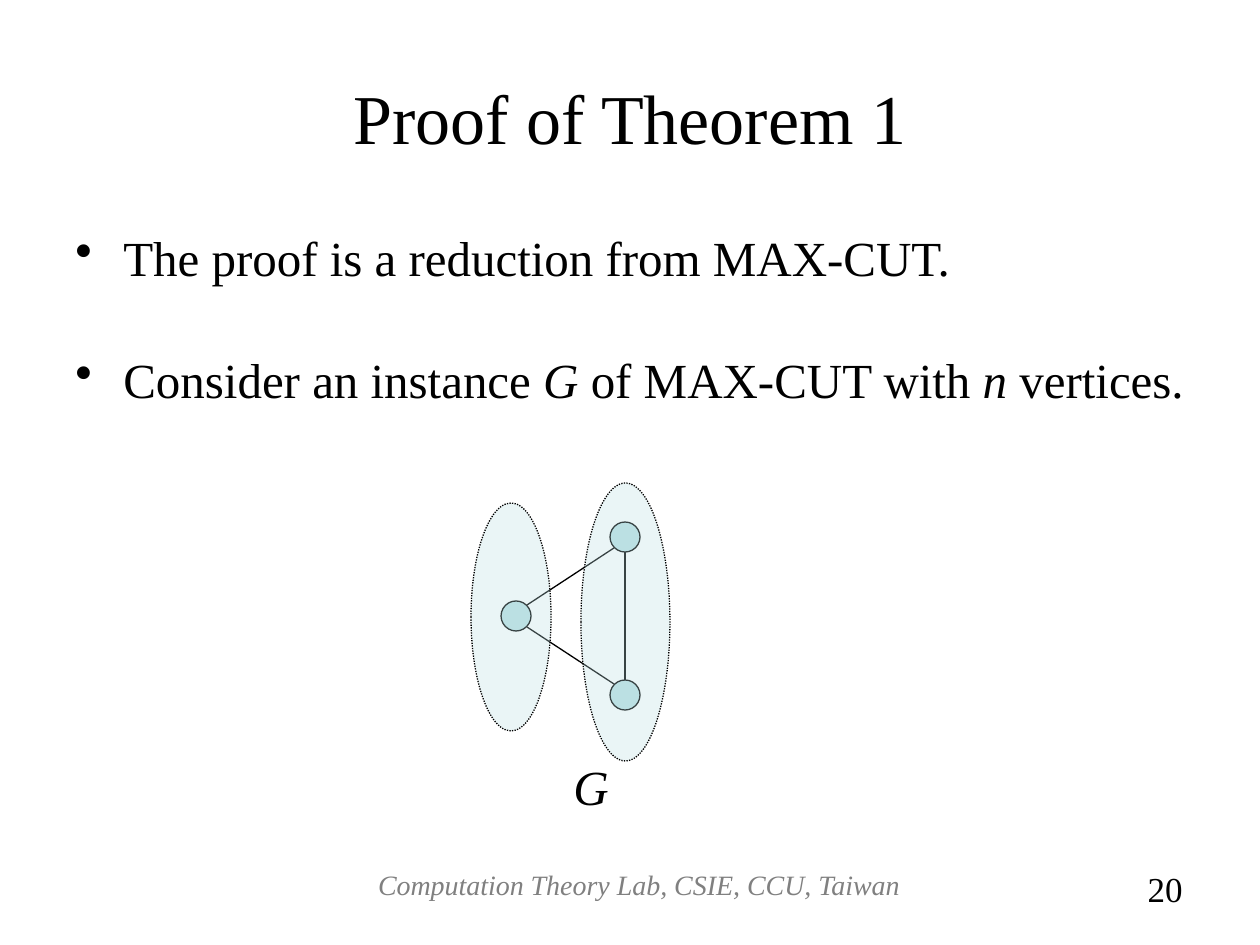
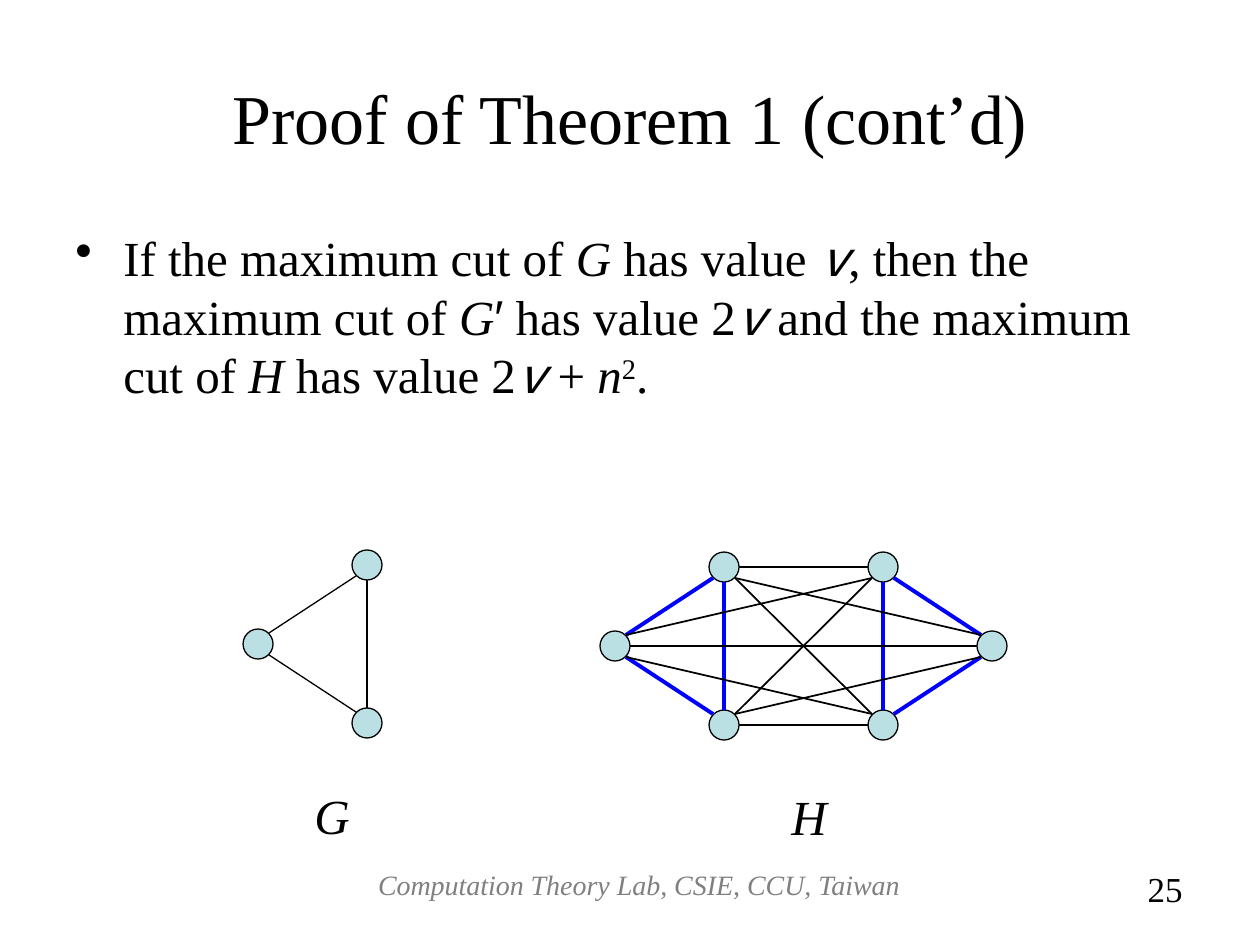
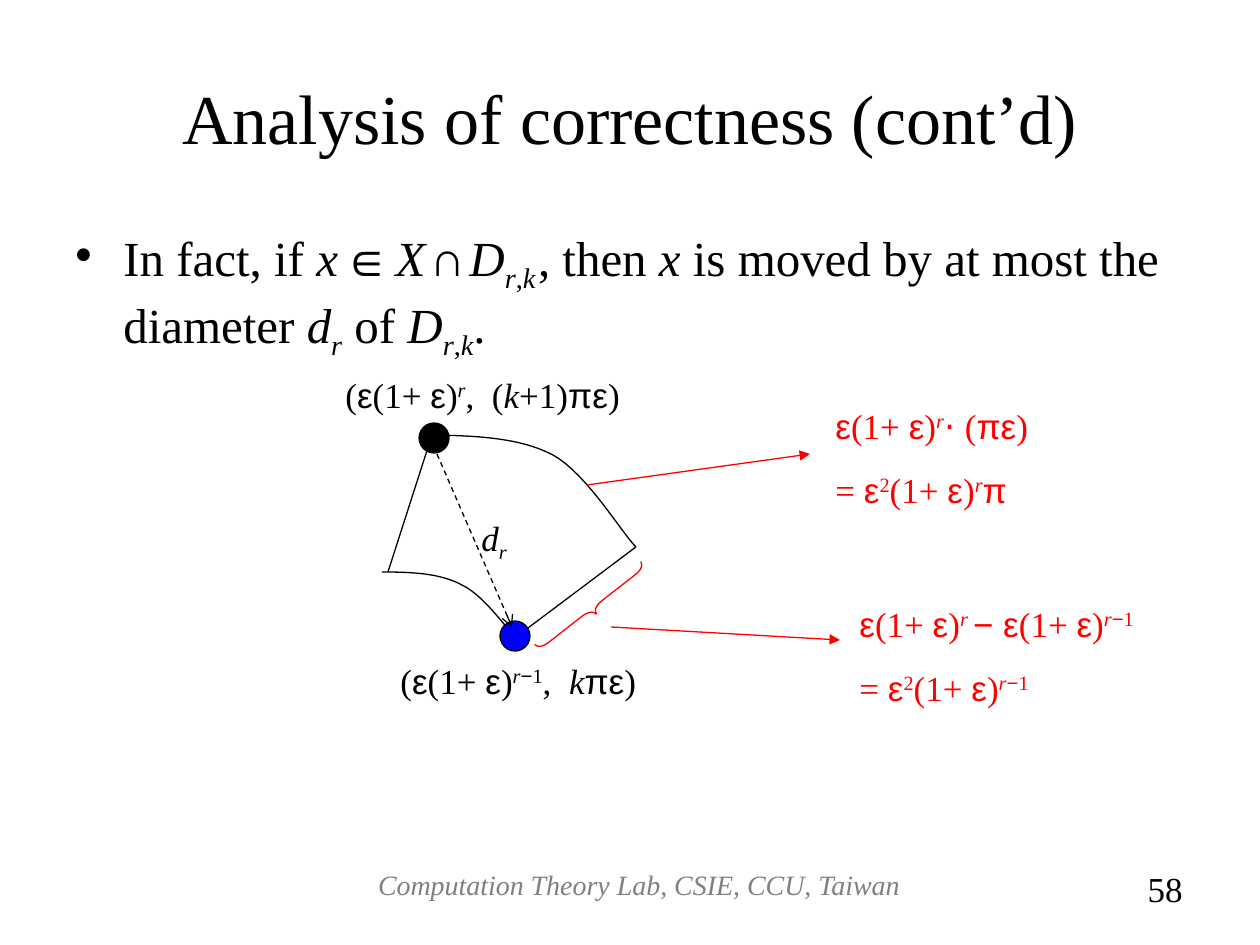
from dataclasses import dataclass
from functools import partial
from itertools import combinations, product
from typing import NamedTuple, Optional

from lxml.etree import SubElement
from pptx import Presentation
from pptx.dml.color import RGBColor
from pptx.enum.dml import MSO_LINE
from pptx.enum.shapes import MSO_CONNECTOR, MSO_SHAPE
from pptx.enum.text import MSO_ANCHOR, PP_ALIGN
from pptx.oxml.ns import qn
from pptx.util import Emu, Pt

PX_PER_INCH = 126
NODE_RADIUS = 15
NODE_DIAGONAL = 11  # offset of the node outline at 45 degrees


@dataclass(frozen=True)
class Theme:
    black: str = "000000"
    red: str = "FF0000"
    blue: str = "0000FF"
    grey: str = "808080"
    node: str = "BBE0E3"
    serif: str = "Times New Roman"
    symbol: str = "Arial"
    mono: str = "Noto Sans Mono"
    title: int = 40
    body: int = 28
    formula: int = 20
    footer: int = 16
    thin_space: int = 10
    thin: float = 0.75
    medium: float = 1
    thick: float = 2.25
    paragraph_gap: float = 36.4
    formula_gap: float = 12.6


THEME = Theme()


class Point(NamedTuple):
    x: int
    y: int


class Box(NamedTuple):
    left: int
    top: int
    width: int
    height: int


class Run(NamedTuple):
    text: str
    font: str = THEME.serif
    italic: bool = False
    baseline: int = 0
    size: Optional[int] = None


class Style(NamedTuple):
    size: int
    color: str = THEME.black
    align: PP_ALIGN = PP_ALIGN.LEFT
    anchor: MSO_ANCHOR = MSO_ANCHOR.TOP
    gap: float = 0
    bullet: bool = False


class Stroke(NamedTuple):
    color: str = THEME.black
    width: float = THEME.thin
    dash: Optional[MSO_LINE] = None
    arrow: Optional[str] = None


class Label(NamedTuple):
    box: Box
    paragraphs: list[list[Run]]
    color: str = THEME.black


italic = partial(Run, italic=True)
symbol = partial(Run, font=THEME.symbol)
power = partial(Run, italic=True, baseline=30000)
power_number = partial(Run, baseline=30000)
power_minus = Run("−", font=THEME.symbol, baseline=30000)
subscript = partial(Run, italic=True, baseline=-25000)
value = Run("v", font=THEME.mono, italic=True)
thin_space = Run(" ", size=THEME.thin_space)

TITLE_BOX = Box(63, 38, 1134, 158)
BODY_BOX = Box(63, 221, 1134, 624)
FOOTER_BOX = Box(302, 861, 674, 66)
NUMBER_BOX = Box(1007, 861, 188, 66)
TITLE = Style(THEME.title, align=PP_ALIGN.CENTER, anchor=MSO_ANCHOR.MIDDLE)
BODY = Style(THEME.body, gap=THEME.paragraph_gap, bullet=True)
GRAPH_NAME = Style(THEME.body)
FOOTER = Style(THEME.footer, THEME.grey, PP_ALIGN.CENTER)
NUMBER = Style(THEME.formula, align=PP_ALIGN.RIGHT)


def px(length: int) -> Emu:
    return Emu(round(length * 914400 / PX_PER_INCH))


def rgb(color: str) -> RGBColor:
    return RGBColor.from_string(color)


def add_bullet(paragraph) -> None:
    properties = paragraph._p.get_or_add_pPr()
    properties.set("marL", str(px(48)))
    properties.set("indent", str(px(-48)))
    SubElement(properties, qn("a:buChar")).set("char", "•")


def add_text(slide, box: Box, paragraphs: list[list[Run]], style: Style) -> None:
    frame = slide.shapes.add_textbox(*map(px, box)).text_frame
    frame.word_wrap = True
    frame.vertical_anchor = style.anchor
    for index, runs in enumerate(paragraphs):
        paragraph = frame.add_paragraph() if index else frame.paragraphs[0]
        if style.bullet:
            add_bullet(paragraph)
        paragraph.alignment = style.align
        if index:
            paragraph.space_before = Pt(style.gap)
        for item in runs:
            run = paragraph.add_run()
            run.text = item.text
            run.font.name = item.font
            run.font.size = Pt(item.size or style.size)
            run.font.italic = item.italic
            run.font.color.rgb = rgb(style.color)
            if item.baseline:
                run.font._element.set("baseline", str(item.baseline))


def apply_stroke(line, stroke: Stroke) -> None:
    line.color.rgb = rgb(stroke.color)
    line.width = Pt(stroke.width)
    if stroke.dash:
        line.dash_style = stroke.dash


def add_line(slide, start: Point, end: Point, stroke: Stroke = Stroke()) -> None:
    connector = slide.shapes.add_connector(MSO_CONNECTOR.STRAIGHT, *map(px, (*start, *end)))
    apply_stroke(connector.line, stroke)
    properties = connector._element.spPr
    if stroke.arrow:
        SubElement(properties.find(qn("a:ln")), qn("a:tailEnd")).set("type", stroke.arrow)
    SubElement(properties, qn("a:effectLst"))


def add_ellipse(slide, box: Box, fill: str, stroke: Stroke = Stroke(), opacity: int = 100) -> None:
    shape = slide.shapes.add_shape(MSO_SHAPE.OVAL, *map(px, box))
    shape.shadow.inherit = False
    shape.fill.solid()
    shape.fill.fore_color.rgb = rgb(fill)
    if opacity < 100:
        color = shape._element.spPr.find(qn("a:solidFill")).find(qn("a:srgbClr"))
        SubElement(color, qn("a:alpha")).set("val", str(opacity * 1000))
    apply_stroke(shape.line, stroke)


def add_node(slide, center: Point, fill: str = THEME.node) -> None:
    size = 2 * NODE_RADIUS
    add_ellipse(slide, Box(center.x - NODE_RADIUS, center.y - NODE_RADIUS, size, size), fill)


def add_edge(slide, first: Point, second: Point, stroke: Stroke = Stroke()) -> None:
    """Joins two nodes at the nearest of the eight compass points of their outlines."""
    step_x = (second.x > first.x) - (second.x < first.x)
    step_y = (second.y > first.y) - (second.y < first.y)
    reach = NODE_DIAGONAL if step_x and step_y else NODE_RADIUS
    start = Point(first.x + step_x * reach, first.y + step_y * reach)
    end = Point(second.x - step_x * reach, second.y - step_y * reach)
    add_line(slide, start, end, stroke)


def add_triangle(slide, apex: Point, direction: int = 1, stroke: Stroke = Stroke()) -> list[Point]:
    """Draws a three-node graph whose base lies right (1) or left (-1) of the apex."""
    base_x = apex.x + direction * 109
    nodes = [apex, Point(base_x, apex.y - 79), Point(base_x, apex.y + 79)]
    for node in nodes:
        add_node(slide, node)
    for first, second in combinations(nodes, 2):
        add_edge(slide, first, second, stroke)
    return nodes


def add_graph_name(slide, left: int, top: int, name: str) -> None:
    add_text(slide, Box(left, top, 79, 72), [[italic(name)]], GRAPH_NAME)


def add_curve(slide, points: list[Point], steps: int = 16) -> None:
    """Draws joined cubic Bézier pieces; each piece starts where the last one ended."""
    outline = []
    for index in range(0, len(points) - 1, 3):
        piece = points[index:index + 4]
        for step in range(1, steps + 1):
            t = step / steps
            weights = ((1 - t) ** 3, 3 * t * (1 - t) ** 2, 3 * t ** 2 * (1 - t), t ** 3)
            outline.append(tuple(
                px(sum(weight * point[axis] for weight, point in zip(weights, piece)))
                for axis in (0, 1)))
    builder = slide.shapes.build_freeform(px(points[0].x), px(points[0].y))
    builder.add_line_segments(outline, close=False)
    shape = builder.convert_to_shape()
    shape.shadow.inherit = False
    shape.fill.background()
    apply_stroke(shape.line, Stroke())


def add_brace(slide, box: Box, rotation: int) -> None:
    brace = slide.shapes.add_shape(MSO_SHAPE.RIGHT_BRACE, *map(px, box))
    brace.shadow.inherit = False
    brace.fill.background()
    brace.adjustments[0] = 0.83
    brace.rotation = rotation
    apply_stroke(brace.line, Stroke(THEME.red))


def start_slide(presentation, title: str, body: list[list[Run]], number: int):
    slide = presentation.slides.add_slide(presentation.slide_layouts[6])
    add_text(slide, TITLE_BOX, [[Run(title)]], TITLE)
    add_text(slide, BODY_BOX, body, BODY)
    add_text(slide, FOOTER_BOX, [[italic("Computation Theory Lab, CSIE, CCU, Taiwan")]], FOOTER)
    add_text(slide, NUMBER_BOX, [[Run(str(number))]], NUMBER)
    return slide


def add_reduction_slide(presentation) -> None:
    slide = start_slide(presentation, "Proof of Theorem 1", [
        [Run("The proof is a reduction from MAX-CUT.")],
        [Run("Consider an instance "), italic("G"), Run(" of MAX-CUT with "),
         italic("n"), Run(" vertices.")],
    ], 20)
    add_triangle(slide, Point(516, 616))
    add_graph_name(slide, 561, 750, "G")
    for cut_side in (Box(471, 503, 80, 228), Box(581, 483, 89, 278)):
        add_ellipse(slide, cut_side, THEME.node, Stroke(dash=MSO_LINE.ROUND_DOT), opacity=30)


def add_cut_value_slide(presentation) -> None:
    slide = start_slide(presentation, "Proof of Theorem 1 (cont’d)", [[
        Run("If the maximum cut of "), italic("G"), Run(" has value "), value,
        Run(", then the maximum cut of "), italic("G"), symbol("′"), Run(" has value 2"), value,
        Run(" and the maximum cut of "), italic("H"), Run(" has value 2"), value,
        Run(" + "), italic("n"), power_number("2"), Run("."),
    ]], 25)
    add_triangle(slide, Point(258, 644))
    add_graph_name(slide, 302, 779, "G")
    copy_edge = Stroke(THEME.blue, THEME.thick)
    left_copy = add_triangle(slide, Point(615, 646), 1, copy_edge)
    right_copy = add_triangle(slide, Point(992, 646), -1, copy_edge)
    for first, second in product(left_copy, right_copy):
        add_edge(slide, first, second, Stroke(width=THEME.medium))
    add_graph_name(slide, 779, 780, "H")


def add_diameter_slide(presentation) -> None:
    region = [italic("D"), subscript("r"), Run(",", baseline=-25000), subscript("k")]
    slide = start_slide(presentation, "Analysis of correctness (cont’d)", [[
        Run("In fact, if "), italic("x"), thin_space, symbol("∈"), thin_space, italic("X"),
        thin_space, symbol("∩"), thin_space, *region,
        thin_space._replace(baseline=-25000), Run(", then "), italic("x"),
        Run(" is moved by at most the diameter "), italic("d"), subscript("r"),
        Run(" of "), *region, Run("."),
    ]], 58)

    inner_start, outer_start, outer_end = Point(382, 572), Point(432, 435), Point(636, 547)
    add_curve(slide, [inner_start, Point(411, 572), Point(440, 573), Point(462, 585),
                      Point(485, 596), Point(508, 631), Point(518, 640)])
    add_curve(slide, [outer_start, Point(475, 436), Point(518, 437), Point(553, 455),
                      Point(587, 474), Point(621, 532), outer_end])
    add_line(slide, outer_start, Point(388, 572))
    add_line(slide, outer_end, Point(512, 640))
    add_node(slide, Point(515, 636), THEME.blue)
    add_node(slide, Point(434, 438), THEME.black)
    add_line(slide, Point(437, 454), Point(512, 627), Stroke(dash=MSO_LINE.DASH, arrow="arrow"))
    add_brace(slide, Box(585, 541, 14, 135), 52)
    callout = Stroke(THEME.red, arrow="triangle")
    add_line(slide, Point(587, 485), Point(810, 454), callout)
    add_line(slide, Point(611, 627), Point(840, 640), callout)

    growth = [Run("(1+ "), symbol("ε"), Run(")")]
    radius = [symbol("ε"), *growth]
    squared = [Run("= "), symbol("ε"), power_number("2"), *growth, power("r")]
    minus_one = [power_minus, power_number("1")]
    labels = [
        Label(Box(388, 653, 272, 55), [
            [Run("("), *radius, power("r"), *minus_one, Run(",  "), italic("k"),
             symbol("πε"), Run(")")]]),
        Label(Box(333, 367, 335, 55), [
            [Run("("), *radius, power("r"), Run(",  ("), italic("k"), Run("+1)"),
             symbol("πε"), Run(")")]]),
        Label(Box(823, 398, 272, 120), [
            [*radius, power("r"), symbol("⋅ ", italic=True), Run("("), symbol("πε"), Run(")")],
            [*squared, symbol("π")]], THEME.red),
        Label(Box(847, 596, 335, 120), [
            [*radius, power("r "), symbol("− "), *radius, power("r"), *minus_one],
            [*squared, *minus_one]], THEME.red),
        Label(Box(469, 510, 55, 60), [[italic("d"), subscript("r")]]),
    ]
    for label in labels:
        style = Style(THEME.formula, label.color, gap=THEME.formula_gap)
        add_text(slide, label.box, label.paragraphs, style)


def main() -> None:
    presentation = Presentation()
    presentation.slide_width = px(10 * PX_PER_INCH)
    presentation.slide_height = px(7.5 * PX_PER_INCH)
    add_reduction_slide(presentation)
    add_cut_value_slide(presentation)
    add_diameter_slide(presentation)
    presentation.save("out.pptx")


if __name__ == "__main__":
    main()
